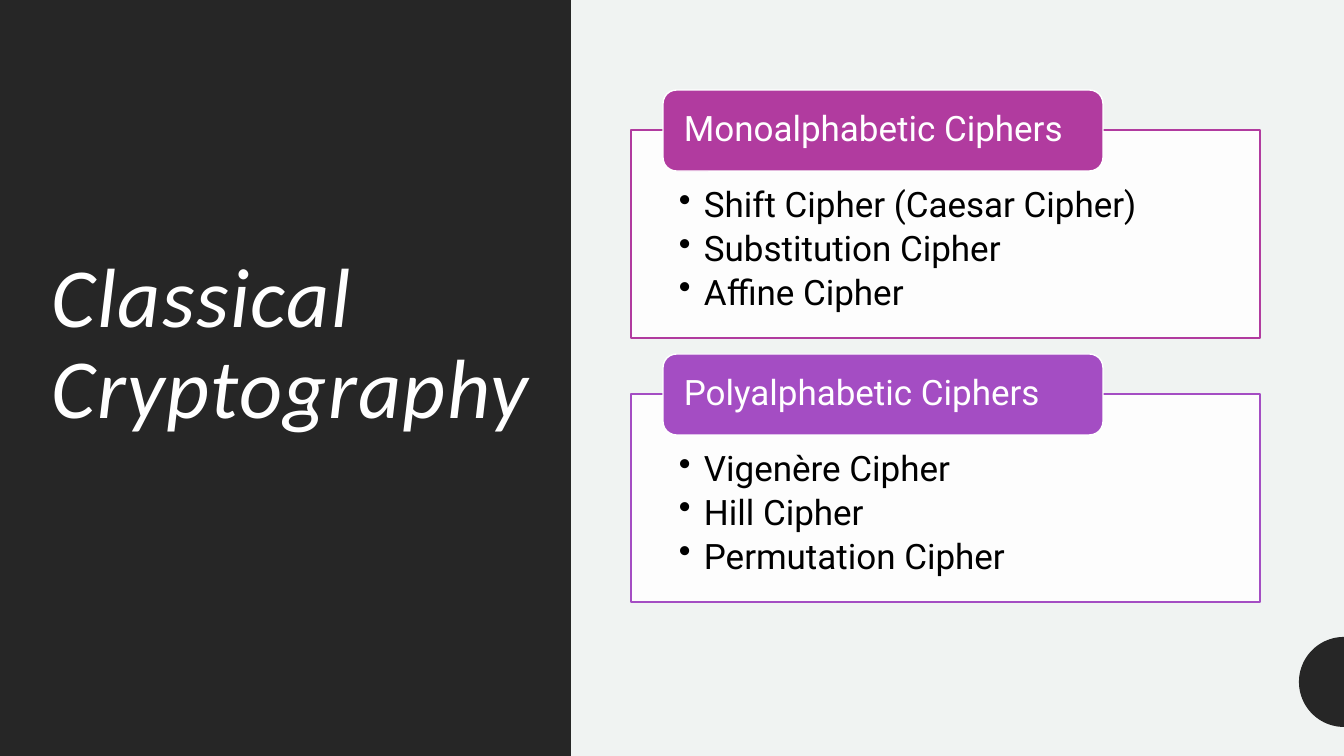
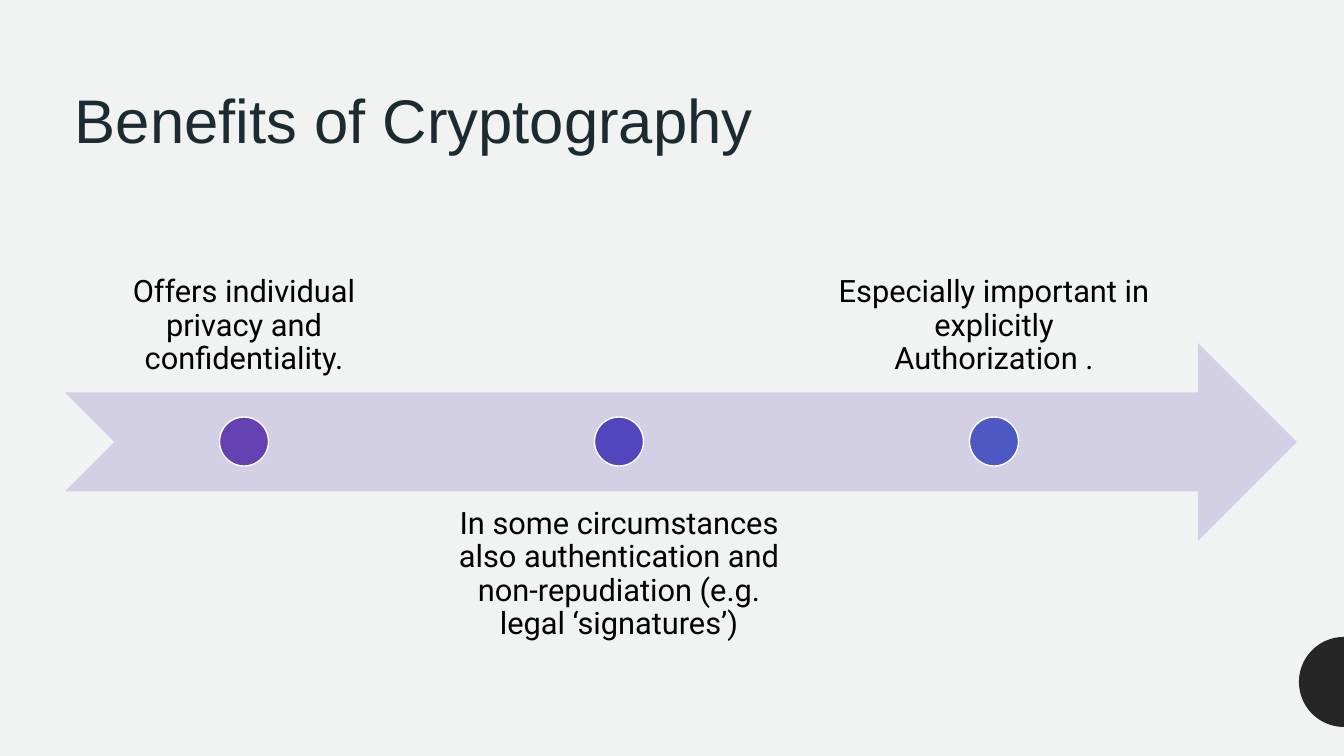
import math

from lxml import etree
from pptx import Presentation
from pptx.dml.color import RGBColor
from pptx.enum.shapes import MSO_SHAPE
from pptx.enum.text import MSO_ANCHOR, PP_ALIGN
from pptx.oxml.ns import qn
from pptx.util import Pt

PX = 914400 / 100.8  # EMU in one px
WIDTH, HEIGHT = 1344, 756

PAPER = RGBColor(0xF0, 0xF3, 0xF2)
CHARCOAL = RGBColor(0x26, 0x26, 0x26)
INK = RGBColor(0x1B, 0x2B, 0x30)
BLACK = RGBColor(0x00, 0x00, 0x00)
WHITE = RGBColor(0xFF, 0xFF, 0xFF)
LAVENDER = RGBColor(0xD3, 0xCF, 0xE5)
MAGENTA = RGBColor(0xB1, 0x3B, 0x9F)
ORCHID = RGBColor(0xA4, 0x4D, 0xC3)
VIOLET = RGBColor(0x66, 0x41, 0xB4)
INDIGO = RGBColor(0x52, 0x45, 0xBE)
BLUE = RGBColor(0x4D, 0x58, 0xC3)

RECTANGLE = MSO_SHAPE.RECTANGLE
ROUNDED = MSO_SHAPE.ROUNDED_RECTANGLE
OVAL = MSO_SHAPE.OVAL
NOTCHED_ARROW = MSO_SHAPE.NOTCHED_RIGHT_ARROW
TOP, MIDDLE, BOTTOM = MSO_ANCHOR.TOP, MSO_ANCHOR.MIDDLE, MSO_ANCHOR.BOTTOM
LEFT, CENTER = PP_ALIGN.LEFT, PP_ALIGN.CENTER


def add_box(slide, place, kind=None, fill=None, line=None):
    """Add a preset shape, or a text box when no kind is given."""
    lengths = [round(length * PX) for length in place]
    if kind is None:
        return slide.shapes.add_textbox(*lengths)
    shape = slide.shapes.add_shape(kind, *lengths)
    shape.shadow.inherit = False
    shape.fill.solid()
    shape.fill.fore_color.rgb = fill
    if line is None:
        shape.line.fill.background()
    else:
        shape.line.color.rgb = line
        shape.line.width = Pt(1)
    return shape


def write(box, lines, font, size, color, anchor=TOP, align=LEFT,
          insets=(10, 5, 10, 5), spacing=0.9, bullets=False):
    """Fill a box with one paragraph a line; insets run left, top, right, bottom."""
    frame = box.text_frame
    frame.word_wrap = True
    frame.vertical_anchor = anchor
    (frame.margin_left, frame.margin_top,
     frame.margin_right, frame.margin_bottom) = [round(inset * PX) for inset in insets]
    for index, line in enumerate(lines):
        para = frame.add_paragraph() if index else frame.paragraphs[0]
        para.alignment = align
        para.line_spacing = spacing
        if bullets:
            para.space_after = Pt(4.4)
            properties = para._p.get_or_add_pPr()
            indent = round(25 * PX)
            properties.set("marL", str(indent))
            properties.set("indent", str(-indent))
            etree.SubElement(properties, qn("a:buChar")).set("char", "•")
        span = para.add_run()
        span.text = line
        span.font.name = font
        span.font.size = Pt(size)
        span.font.color.rgb = color


deck = Presentation()
deck.slide_width = round(WIDTH * PX)
deck.slide_height = round(HEIGHT * PX)

# Shared background and half disc on the right edge
DISC_MIDDLE, DISC_RADIUS, DISC_STEPS = 682, 45, 48
arc = []
for step in range(DISC_STEPS + 1):
    angle = math.pi * step / DISC_STEPS
    arc.append((round((WIDTH - DISC_RADIUS * math.sin(angle)) * PX),
                round((DISC_MIDDLE - DISC_RADIUS * math.cos(angle)) * PX)))

slides = []
for number in range(2):
    page = deck.slides.add_slide(deck.slide_layouts[6])
    page.background.fill.solid()
    page.background.fill.fore_color.rgb = PAPER
    builder = page.shapes.build_freeform(*arc[0])
    builder.add_line_segments(arc[1:], close=True)
    half_disc = builder.convert_to_shape()
    half_disc.shadow.inherit = False
    half_disc.fill.solid()
    half_disc.fill.fore_color.rgb = CHARCOAL
    half_disc.line.fill.background()
    slides.append(page)
ciphers_page, benefits_page = slides

# Classical cryptography
add_box(ciphers_page, (0, 0, 571, HEIGHT), RECTANGLE, CHARCOAL)
title = add_box(ciphers_page, (42, 84, 504, 524))
write(title, ["Classical Cryptography"], "Calibri", 60, WHITE, MIDDLE)
title_font = title.text_frame.paragraphs[0].runs[0].font
title_font.italic = True
title_font._element.set("spc", "100")

families = [
    ("Monoalphabetic Ciphers", MAGENTA,
     ["Shift Cipher (Caesar Cipher)", "Substitution Cipher", "Affine Cipher"]),
    ("Polyalphabetic Ciphers", ORCHID,
     ["Vigenère Cipher", "Hill Cipher", "Permutation Cipher"]),
]
for index, (family, color, ciphers) in enumerate(families):
    top = 130 + 264 * index
    panel = add_box(ciphers_page, (631, top, 629, 208), RECTANGLE, WHITE, color)
    panel_color = panel.fill._xPr.find(qn("a:solidFill"))[0]
    etree.SubElement(panel_color, qn("a:alpha")).set("val", "90000")
    write(panel, ciphers, "Roboto", 25, BLACK, insets=(48, 57, 48, 19), bullets=True)
    label = add_box(ciphers_page, (663, top - 40, 440, 81), ROUNDED, color, WHITE)
    write(label, [family], "Roboto", 25, WHITE, MIDDLE, insets=(17, 0, 17, 0))

# Benefits of cryptography
title = add_box(benefits_page, (65, 67, 1000, 94))
write(title, ["Benefits of Cryptography"], "Arial", 44, INK, BOTTOM, spacing=1.0)
add_box(benefits_page, (65, 343, 1232, 198), NOTCHED_ARROW, LAVENDER)

DOT, CAPTION_WIDTH = 49, 356
benefits = [
    ("Offers individual privacy and confidentiality.", VIOLET),
    ("In some circumstances also authentication and non-repudiation "
     "(e.g. legal ‘signatures’)", INDIGO),
    ("Especially important in explicitly Authorization .", BLUE),
]
for index, (benefit, color) in enumerate(benefits):
    middle = 244 + 375 * index
    top, anchor = (491, TOP) if index % 2 else (195, BOTTOM)
    caption = add_box(benefits_page, (middle - CAPTION_WIDTH / 2, top, CAPTION_WIDTH, 198))
    write(caption, [benefit], "Roboto", 22, BLACK, anchor, CENTER, (17, 17, 17, 17))
    add_box(benefits_page, (middle - DOT / 2, 417, DOT, DOT), OVAL, color, WHITE)

deck.save("out.pptx")
